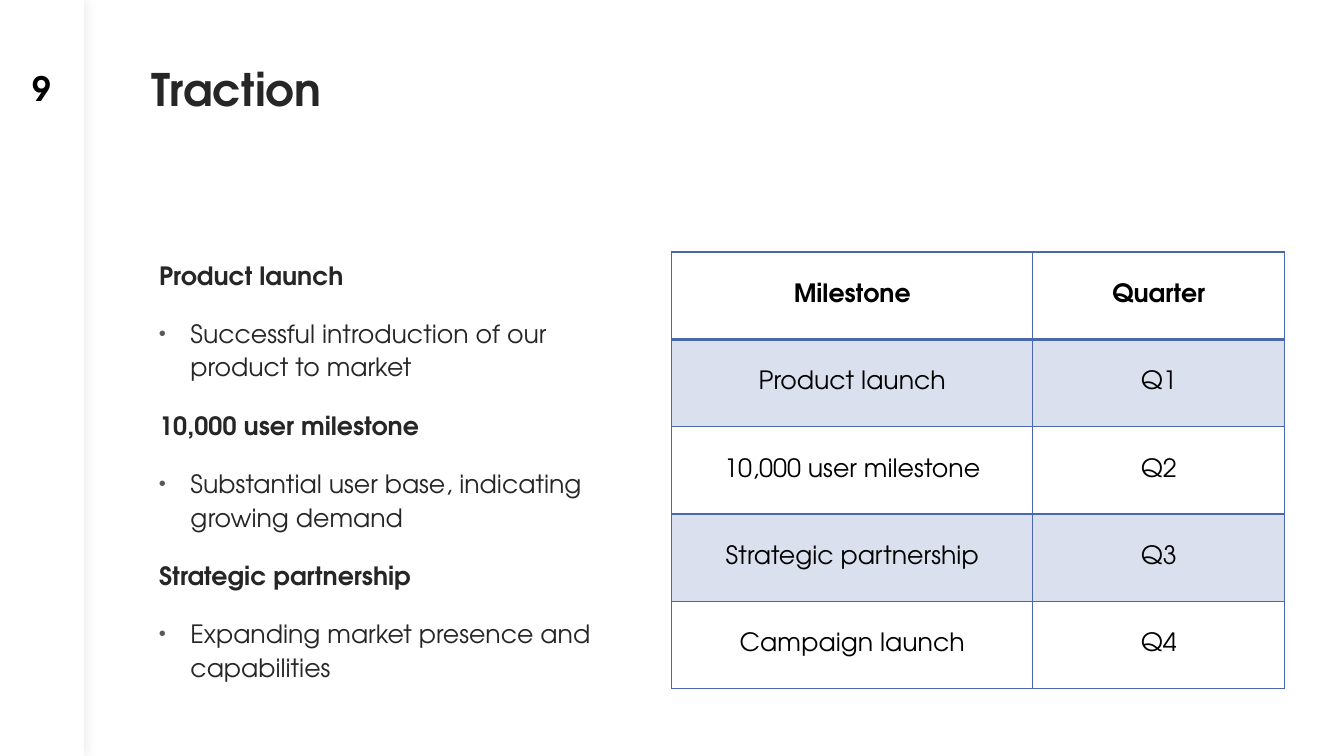
"""Build the Traction slide: page rail, milestone notes and quarter table."""
from dataclasses import dataclass

from lxml import etree
from pptx import Presentation
from pptx import util as u
from pptx.dml.color import RGBColor
from pptx.enum import shapes, text
from pptx.oxml import parse_xml
from pptx.oxml.ns import nsdecls, qn

FONT = "TeX Gyre Adventor"
COLORS = {"white": "FFFFFF", "black": "000000", "ink": "262626",
          "bullet": "595959", "blue": "4A66AC", "band": "DBE0EE"}


@dataclass(frozen=True)
class Box:
    x: float
    y: float
    w: float
    h: float

    def lengths(self) -> tuple:
        return tuple(u.Pt(v) for v in (self.x, self.y, self.w, self.h))


@dataclass(frozen=True)
class Style:
    size: float
    color: str
    bold: bool = False


@dataclass(frozen=True)
class Note:
    heading: str
    detail: str


RAIL = Box(0, 0, 60, 540)
TITLE = Box(101.5, 48, 387.5, 114)
NUMBER = Box(0, 48, 60, 30)
BODY = Box(103, 180, 360, 312)
TABLE = Box(479.75, 180, 438, 312)
COLUMNS = (258, 180)

NOTES = (
    Note("Product launch", "Successful introduction of our product to market"),
    Note("10,000 user milestone", "Substantial user base, indicating growing demand"),
    Note("Strategic partnership", "Expanding market presence and capabilities"),
)
ROWS = (
    ("Milestone", "Quarter"),
    ("Product launch", "Q1"),
    ("10,000 user milestone", "Q2"),
    ("Strategic partnership", "Q3"),
    ("Campaign launch", "Q4"),
)


def rgb(name: str) -> RGBColor:
    return RGBColor.from_string(COLORS[name])


def write(p, content: str, style: Style) -> None:
    p.text = content
    for r in p.runs:
        r.font.name = FONT
        r.font.size = u.Pt(style.size)
        r.font.bold = style.bold
        r.font.color.rgb = rgb(style.color)


def add_text(s, box: Box):
    tf = s.shapes.add_textbox(*box.lengths()).text_frame
    tf.word_wrap = True
    return tf


def indent(p, left: float, first: float = 0) -> None:
    pPr = p._p.get_or_add_pPr()
    pPr.set("marL", str(u.Pt(left)))
    pPr.set("indent", str(u.Pt(first)))


def add_bullet(p) -> None:
    pPr = p._p.get_or_add_pPr()
    clr = etree.SubElement(pPr, qn("a:buClr"))
    etree.SubElement(clr, qn("a:srgbClr")).set("val", COLORS["bullet"])
    etree.SubElement(pPr, qn("a:buSzPct")).set("val", "80000")
    etree.SubElement(pPr, qn("a:buFont")).set("typeface", "Arial")
    etree.SubElement(pPr, qn("a:buChar")).set("char", "•")


def add_rail(s, box: Box) -> None:
    sp = s.shapes.add_shape(shapes.MSO_SHAPE.RECTANGLE, *box.lengths())
    sp.fill.solid()
    sp.fill.fore_color.rgb = rgb("white")
    sp.line.fill.background()
    sp._element.spPr.append(parse_xml(
        f'<a:effectLst {nsdecls("a")}><a:outerShdw blurRad="{u.Pt(10)}" dist="0" '
        f'algn="ctr" rotWithShape="0"><a:srgbClr val="{COLORS["black"]}">'
        '<a:alpha val="10000"/></a:srgbClr></a:outerShdw></a:effectLst>'))


def add_notes(s, box: Box, notes: tuple[Note, ...]) -> None:
    tf = add_text(s, box)
    lines = [(t, i) for n in notes for i, t in enumerate((n.heading, n.detail))]
    for i, (content, level) in enumerate(lines):
        p = tf.add_paragraph() if i else tf.paragraphs[0]
        write(p, content, Style(18, "ink", level == 0))
        p.level = level
        p.line_spacing = 1.1
        p.space_before = u.Pt(18)
        if level:
            indent(p, 26, -22.5)
            add_bullet(p)
        else:
            indent(p, 3.6)


def add_borders(cell, widths: dict[str, float]) -> None:
    tcPr = cell._tc.get_or_add_tcPr()
    for i, (side, width) in enumerate(widths.items()):
        tcPr.insert(i, parse_xml(
            f'<a:ln{side} {nsdecls("a")} w="{u.Pt(width)}"><a:solidFill>'
            f'<a:srgbClr val="{COLORS["blue"]}"/></a:solidFill></a:ln{side}>'))


def add_table(s, box: Box, rows: tuple, columns: tuple) -> None:
    tbl = s.shapes.add_table(len(rows), len(columns), *box.lengths()).table
    for col, width in zip(tbl.columns, columns):
        col.width = u.Pt(width)
    for i, row in enumerate(rows):
        tbl.rows[i].height = u.Pt(box.h / len(rows))
        for j, content in enumerate(row):
            cell = tbl.cell(i, j)
            cell.vertical_anchor = text.MSO_ANCHOR.MIDDLE
            cell.fill.solid()
            cell.fill.fore_color.rgb = rgb("band" if i % 2 else "white")
            p = cell.text_frame.paragraphs[0]
            write(p, content, Style(18, "black", i == 0))
            p.alignment = text.PP_ALIGN.CENTER
            add_borders(cell, {"L": 1, "R": 1, "T": 2 if i == 1 else 1,
                               "B": 2 if i == 0 else 1})


def main() -> None:
    prs = Presentation()
    prs.slide_width, prs.slide_height = u.Pt(960), u.Pt(540)
    s = prs.slides.add_slide(prs.slide_layouts[6])
    add_rail(s, RAIL)

    p = add_text(s, TITLE).paragraphs[0]
    write(p, "Traction", Style(32, "ink", True))
    p.line_spacing = 0.8

    tf = add_text(s, NUMBER)
    tf.vertical_anchor = text.MSO_ANCHOR.MIDDLE
    p = tf.paragraphs[0]
    write(p, "9", Style(24, "black", True))
    p.alignment = text.PP_ALIGN.CENTER

    add_notes(s, BODY, NOTES)
    add_table(s, TABLE, ROWS, COLUMNS)
    prs.save("out.pptx")


if __name__ == "__main__":
    main()
